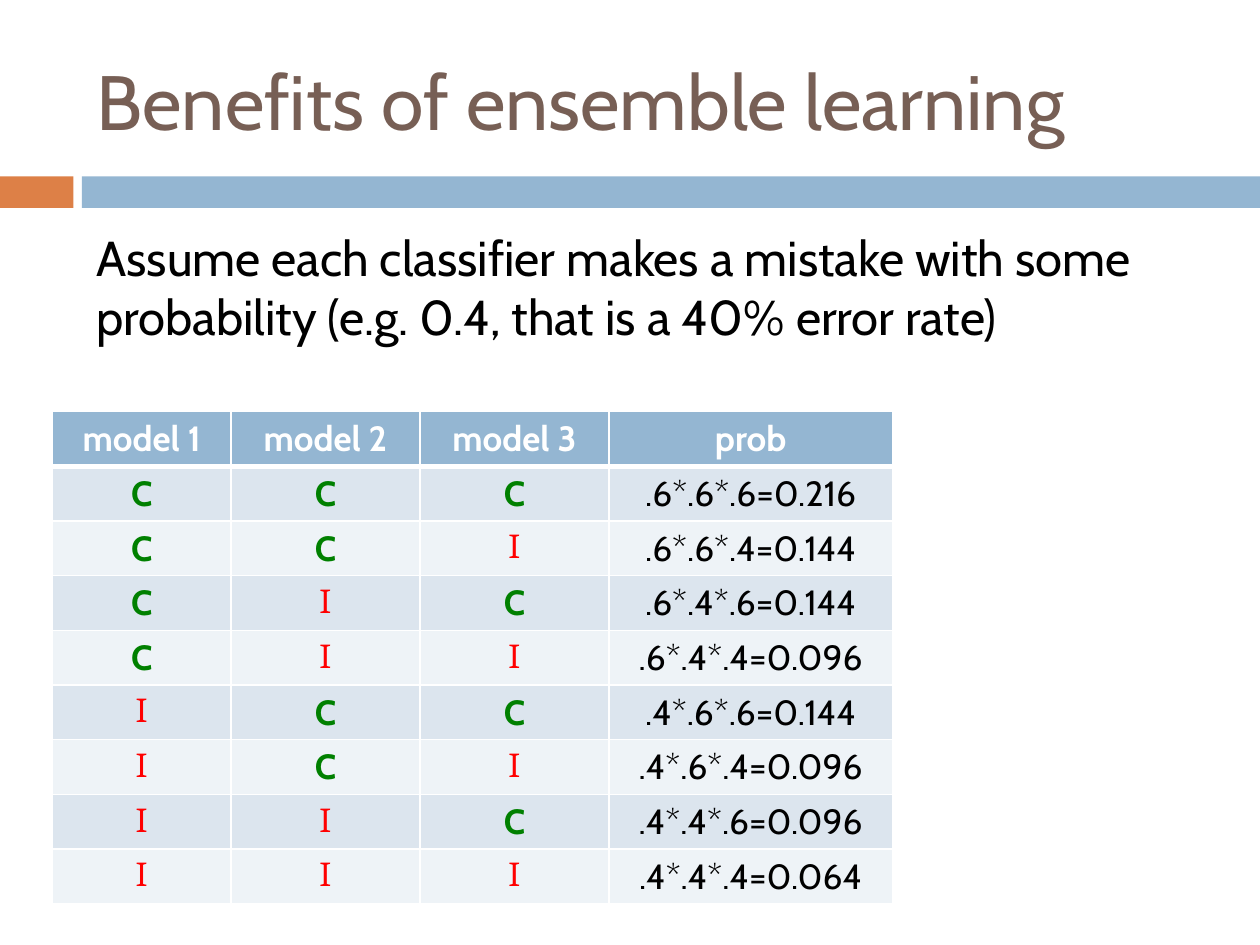
from itertools import product
from math import prod
from typing import NamedTuple

from lxml.etree import SubElement as Sub
from pptx import Presentation as Deck
from pptx.dml.color import RGBColor as Color
from pptx.enum.shapes import MSO_SHAPE as Shape
from pptx.enum.text import MSO_ANCHOR as Anchor, MSO_AUTO_SIZE as Fit, PP_ALIGN as Align
from pptx.oxml.ns import qn
from pptx.util import Inches, Pt

HUES = {
    "bar": "94B6D2", "tab": "DD8047", "title": "775F55", "text": "000000",
    "white": "FFFFFF", "odd": "DCE5EE", "even": "EEF3F7",
    "good": "008000", "bad": "FF0000",
}
UNIT = Inches(1 / 12)
WIDE, HIGH = 120, 90
COLS = (17, 18, 18, 27)
ROW = 5.2

FONTS = {
    "title": {"name": "Cabin", "size": Pt(44), "bold": False},
    "text": {"name": "Cabin", "size": Pt(28), "bold": False},
    "head": {"name": "Cabin", "size": Pt(20), "bold": True},
    "good": {"name": "Cabin", "size": Pt(20), "bold": True},
    "bad": {"name": "Cambria", "size": Pt(20), "bold": False},
    "prob": {"name": "Cabin", "size": Pt(20), "bold": False},
}
FRAMES = {
    "title": {"word_wrap": True, "auto_size": Fit.NONE, "vertical_anchor": Anchor.MIDDLE},
    "text": {"word_wrap": True, "auto_size": Fit.SHAPE_TO_FIT_TEXT, "vertical_anchor": Anchor.TOP},
}


class Box(NamedTuple):
    left: float
    top: float
    width: float
    height: float

    def size(self) -> list[int]:
        return [round(n * UNIT) for n in self]


class Bar(NamedTuple):
    box: Box
    hue: str


class Cell(NamedTuple):
    text: str
    font: str
    hue: str


BARS = (
    Bar(Box(0, 16.8, 7, 3), "tab"),
    Bar(Box(7.8, 16.8, WIDE - 7.8, 3), "bar"),
)
TITLE = Box(8, 3, 107, 13)
BODY = Box(8, 21.1, 103.4, 12.5)
GRID = Box(5, 39.2, sum(COLS), 9 * ROW)
MARKS = {"C": Cell("C", "good", "good"), "I": Cell("I", "bad", "bad")}
ODDS = {"C": 0.6, "I": 0.4}


def apply(item, values: dict) -> None:
    for key, value in values.items():
        setattr(item, key, value)


def tint(fill, hue: str) -> None:
    fill.solid()
    fill.fore_color.rgb = Color.from_string(HUES[hue])


def write(frame, cell: Cell, align: Align) -> None:
    para = frame.paragraphs[0]
    para.alignment = align
    run = para.add_run()
    run.text = cell.text
    apply(run.font, FONTS[cell.font])
    run.font.color.rgb = Color.from_string(HUES[cell.hue])


def draw_bar(slide, bar: Bar) -> None:
    shape = slide.shapes.add_shape(Shape.RECTANGLE, *bar.box.size())
    shape.shadow.inherit = False
    shape.line.fill.background()
    tint(shape.fill, bar.hue)


def draw_text(shape, box: Box, kind: str, text: str) -> None:
    apply(shape, dict(zip(Box._fields, box.size())))
    apply(shape.text_frame, FRAMES[kind])
    write(shape.text_frame, Cell(text, kind, kind), Align.LEFT)


def edge(cell, sides: dict[str, int]) -> None:
    props = cell._tc.get_or_add_tcPr()
    for spot, (side, width) in enumerate(sides.items()):
        line = Sub(props, qn(f"a:ln{side}"), w=str(Pt(width)))
        Sub(Sub(line, qn("a:solidFill")), qn("a:srgbClr"), val=HUES["white"])
        props.insert(spot, line)


def make_rows() -> list[list[Cell]]:
    heads = [f"model {n}" for n in (1, 2, 3)] + ["prob"]
    rows = [[Cell(text, "head", "white") for text in heads]]
    for marks in product("CI", repeat=3):
        odds = [ODDS[mark] for mark in marks]
        terms = "*".join(f"{odd:.1f}".lstrip("0") for odd in odds)
        last = Cell(f"{terms}={prod(odds):.3f}", "prob", "text")
        rows.append([MARKS[mark] for mark in marks] + [last])
    return rows


def draw_table(slide, rows: list[list[Cell]]) -> None:
    table = slide.shapes.add_table(len(rows), len(COLS), *GRID.size()).table
    for col, width in zip(table.columns, COLS):
        col.width = round(width * UNIT)
    for y, row in enumerate(rows):
        table.rows[y].height = round(ROW * UNIT)
        hue = "bar" if y == 0 else "odd" if y % 2 else "even"
        sides = {"L": 1, "R": 1, "T": 3 if y == 1 else 1, "B": 3 if y == 0 else 1}
        for x, item in enumerate(row):
            cell = table.cell(y, x)
            tint(cell.fill, hue)
            edge(cell, sides)
            write(cell.text_frame, item, Align.CENTER)


def main() -> None:
    deck = Deck()
    deck.slide_width, deck.slide_height = WIDE * UNIT, HIGH * UNIT
    slide = deck.slides.add_slide(deck.slide_layouts[5])
    for bar in BARS:
        draw_bar(slide, bar)
    draw_text(slide.shapes.title, TITLE, "title", "Benefits of ensemble learning")
    note = slide.shapes.add_textbox(*BODY.size())
    draw_text(note, BODY, "text", "Assume each classifier makes a mistake with some "
              "probability (e.g. 0.4, that is a 40% error rate)")
    draw_table(slide, make_rows())
    deck.save("out.pptx")


if __name__ == "__main__":
    main()
